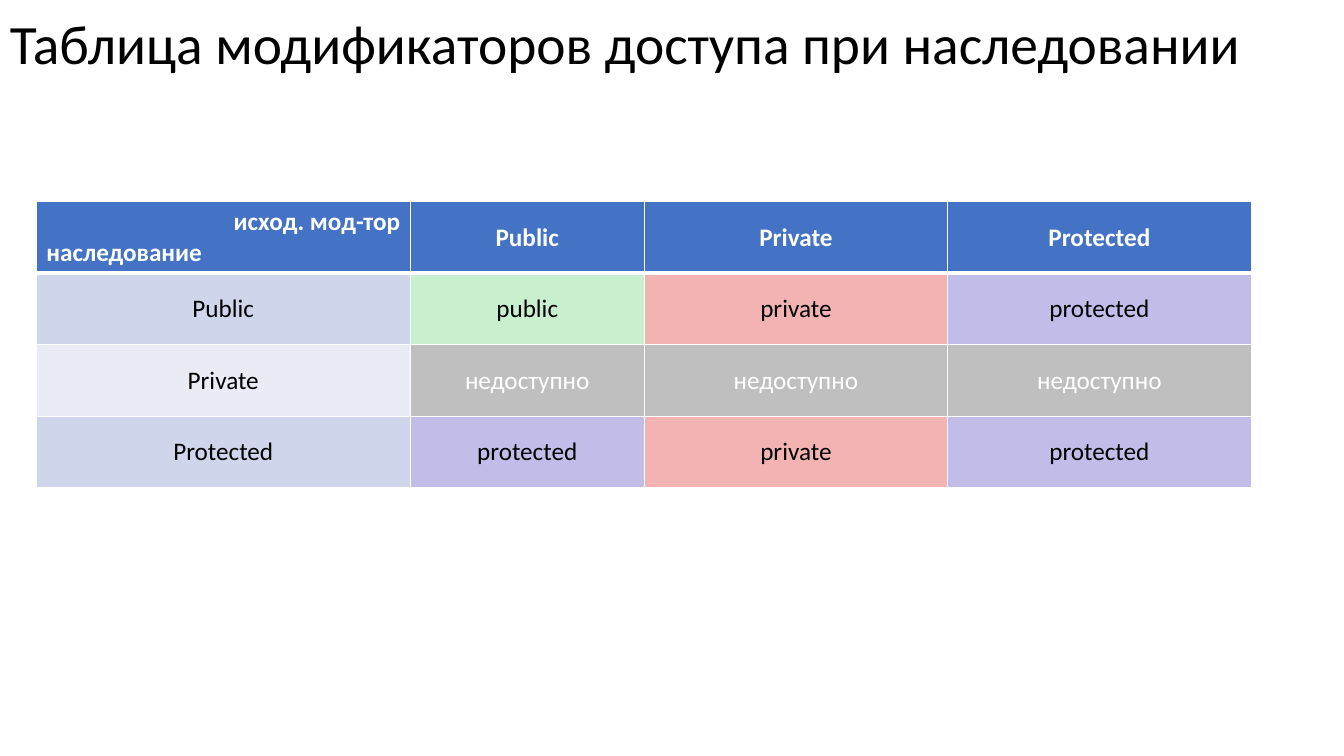
from dataclasses import dataclass
from lxml.etree import SubElement
from pptx import Presentation
from pptx.dml.color import RGBColor
from pptx.enum.text import MSO_ANCHOR, PP_ALIGN
from pptx.oxml.ns import qn
from pptx.util import Inches, Pt

WIDE, HIGH = 13.33, 7.5
COLS = (3.71, 2.32, 3.01, 3.01)
ROW = 0.71
LEFT, TOP = 0.36, 2


@dataclass(frozen=True)
class Theme:
    font: str = "Calibri"
    title: float = 39.6
    body: float = 18
    dark: str = "000000"
    light: str = "FFFFFF"
    head: str = "4472C4"
    bands: tuple = ("CFD5EA", "E9EBF5")
    thin: float = 1
    thick: float = 3


THEME = Theme()
FILLS = {"public": "C8F0CF", "private": "F3B3B3",
         "protected": "C0BDE9", "недоступно": "BFBFBF"}
HEADS = ("Public", "Private", "Protected")
RULES = (
    ("Public", "public", "private", "protected"),
    ("Private", "недоступно", "недоступно", "недоступно"),
    ("Protected", "protected", "private", "protected"),
)


def write(par, text, color, size=THEME.body, bold=False, align=PP_ALIGN.CENTER):
    par.alignment = align
    run = par.add_run()
    run.text = text
    look = {"name": THEME.font, "size": Pt(size), "bold": bold}
    for key, value in look.items():
        setattr(run.font, key, value)
    run.font.color.rgb = RGBColor.from_string(color)


def edge(cell, base):
    """Draw the four borders; base is the width of the lower one in points."""
    props = cell._tc.get_or_add_tcPr()
    widths = {"lnL": THEME.thin, "lnR": THEME.thin, "lnT": THEME.thin, "lnB": base}
    for tag, width in widths.items():
        line = SubElement(props, qn(f"a:{tag}"), w=str(Pt(width)))
        fill = SubElement(line, qn("a:solidFill"))
        SubElement(fill, qn("a:srgbClr"), val=THEME.light)


def paint(cell, color, base=THEME.thin):
    edge(cell, base)
    cell.fill.solid()
    cell.fill.fore_color.rgb = RGBColor.from_string(color)
    cell.vertical_anchor = MSO_ANCHOR.MIDDLE


def add_title(slide, text):
    box = slide.shapes.add_textbox(0, 0, Inches(WIDE), Inches(0.92))
    frame = box.text_frame
    frame.word_wrap = True
    frame.vertical_anchor = MSO_ANCHOR.MIDDLE
    par = frame.paragraphs[0]
    par.line_spacing = 0.9
    write(par, text, THEME.dark, THEME.title, align=PP_ALIGN.LEFT)


def add_grid(slide):
    count = len(RULES) + 1
    shape = slide.shapes.add_table(
        count, len(COLS), Inches(LEFT), Inches(TOP),
        Inches(sum(COLS)), Inches(ROW * count))
    grid = shape.table
    for col, width in zip(grid.columns, COLS):
        col.width = Inches(width)
    for row in grid.rows:
        row.height = Inches(ROW)
    return grid


def fill_head(grid):
    for col in range(len(COLS)):
        paint(grid.cell(0, col), THEME.head, THEME.thick)
    corner = grid.cell(0, 0)
    corner.vertical_anchor = MSO_ANCHOR.TOP
    frame = corner.text_frame
    write(frame.paragraphs[0], "исход. мод-тор", THEME.light,
          bold=True, align=PP_ALIGN.RIGHT)
    write(frame.add_paragraph(), "наследование", THEME.light,
          bold=True, align=PP_ALIGN.LEFT)
    for col, text in enumerate(HEADS, 1):
        write(grid.cell(0, col).text_frame.paragraphs[0], text,
              THEME.light, bold=True)


def fill_body(grid):
    for row, rule in enumerate(RULES, 1):
        band = THEME.bands[(row - 1) % 2]
        for col, text in enumerate(rule):
            cell = grid.cell(row, col)
            paint(cell, FILLS.get(text, band))
            color = THEME.light if text == "недоступно" else THEME.dark
            write(cell.text_frame.paragraphs[0], text, color)


def main():
    deck = Presentation()
    deck.slide_width, deck.slide_height = Inches(WIDE), Inches(HIGH)
    slide = deck.slides.add_slide(deck.slide_layouts[6])
    add_title(slide, "Таблица модификаторов доступа при наследовании")
    grid = add_grid(slide)
    fill_head(grid)
    fill_body(grid)
    deck.save("out.pptx")


if __name__ == "__main__":
    main()
